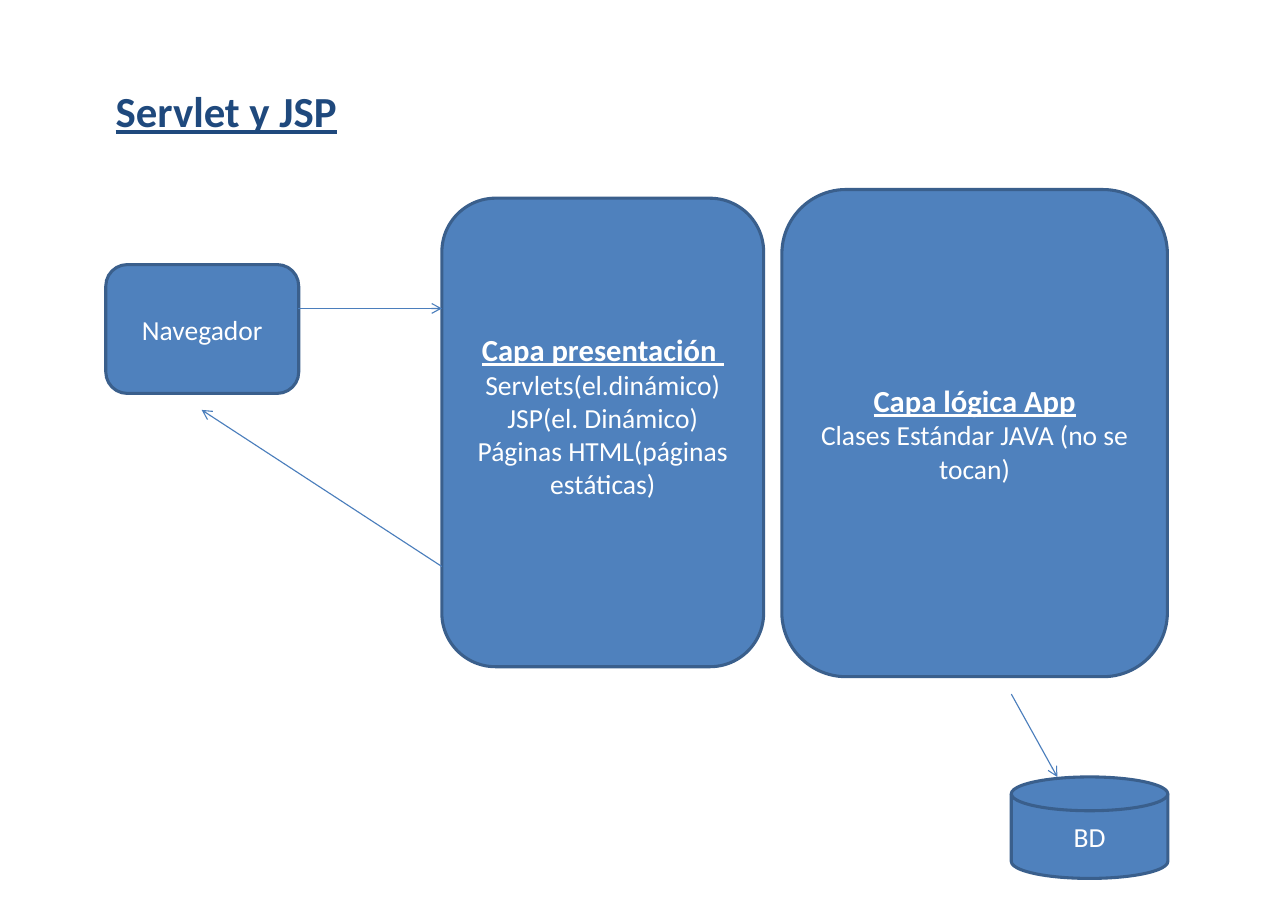
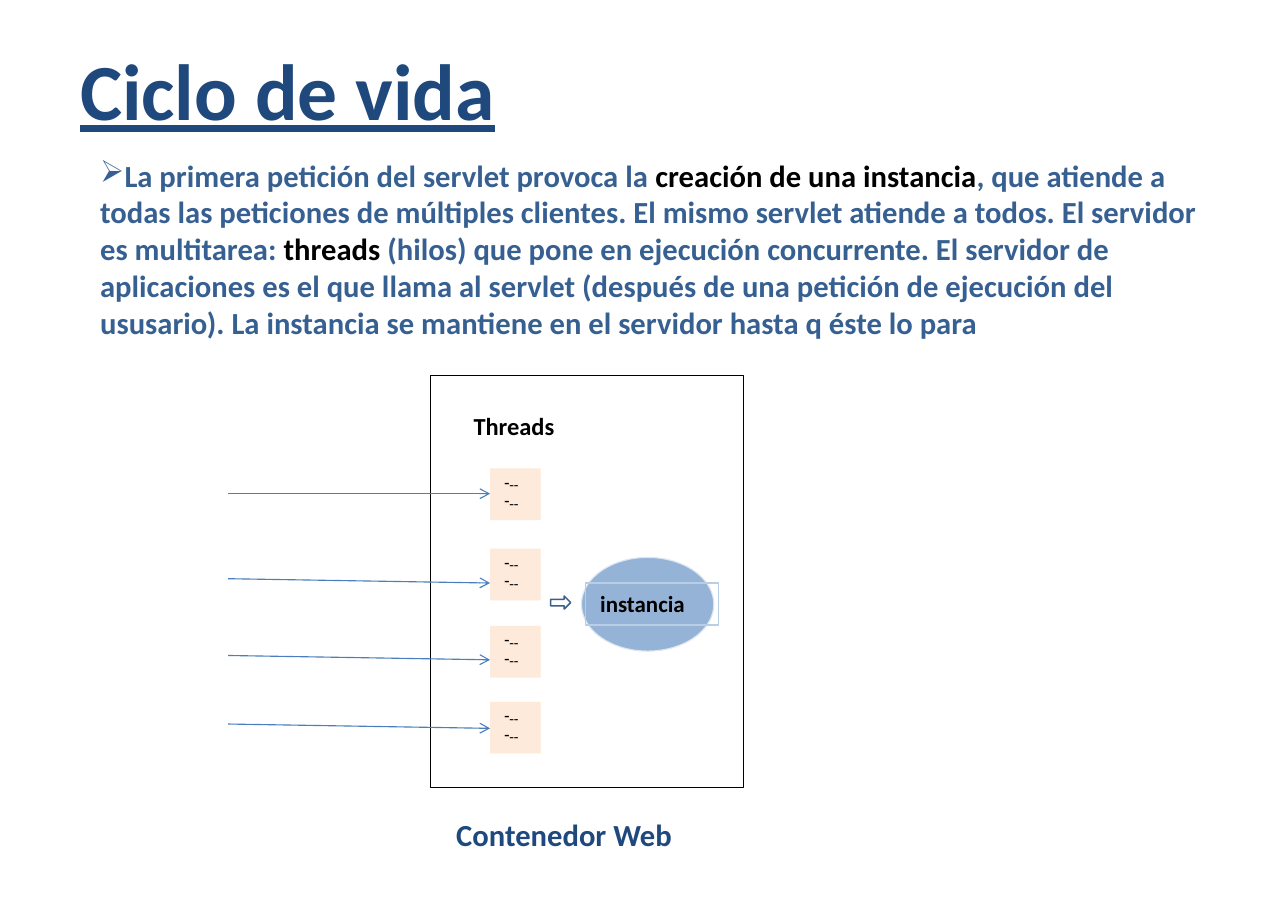
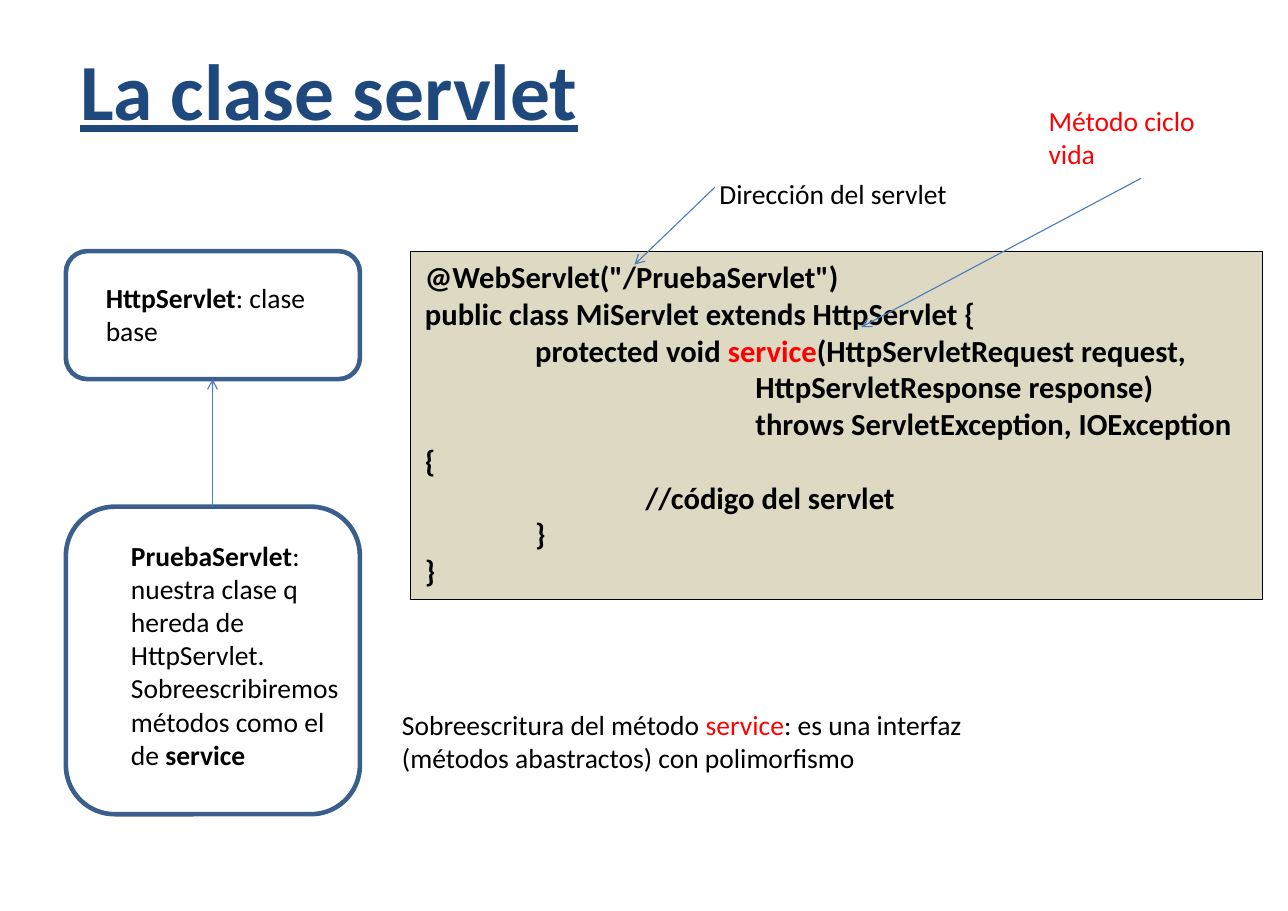
from lxml import etree
from pptx import Presentation
from pptx import util as u
from pptx.dml.color import RGBColor
from pptx.enum import shapes, text
from pptx.oxml.ns import qn

rgb = RGBColor.from_string
FONT = "Calibri"
NAVY, STEEL, BLUE, EDGE, ARROW = "1F497D", "376092", "4F81BD", "3A5F8C", "4B7EBC"
BLACK, WHITE, RED = "000000", "FFFFFF", "FF0000"
KIND = shapes.MSO_SHAPE


def box(slide, at, kind=None, fill=None, line=None, weight=0.75, paragraphs=(),
        size=18, color=BLACK, bold=False, centered=False, bullet=None):
    """Add a shape, or a text box if kind is None; a run is (text, font changes)."""
    place = [u.Cm(length) for length in at]
    if kind is None:
        item = slide.shapes.add_textbox(*place)
    else:
        item = slide.shapes.add_shape(kind, *place)
        item.shadow.inherit = False
        if fill:
            item.fill.solid()
            item.fill.fore_color.rgb = rgb(fill)
        else:
            item.fill.background()
        if line:
            item.line.color.rgb = rgb(line)
            item.line.width = u.Pt(weight)
        else:
            item.line.fill.background()

    frame = item.text_frame
    frame.word_wrap = True
    frame.margin_left = frame.margin_right = u.Cm(0.33)
    frame.margin_top = frame.margin_bottom = u.Cm(0.16)
    frame.vertical_anchor = text.MSO_ANCHOR.MIDDLE if centered else text.MSO_ANCHOR.TOP
    for number, runs in enumerate(paragraphs):
        paragraph = frame.add_paragraph() if number else frame.paragraphs[0]
        paragraph.alignment = text.PP_ALIGN.CENTER if centered else text.PP_ALIGN.LEFT
        font = paragraph.font
        font.name, font.size, font.bold = FONT, u.Pt(size), bold
        font.color.rgb = rgb(color)
        if bullet:
            mark = etree.Element(qn("a:buChar"), char=bullet)
            paragraph._p.pPr.find(qn("a:defRPr")).addprevious(mark)
        for words, changes in runs:
            run = paragraph.add_run()
            run.text = words
            for name, value in changes.items():
                if name == "color":
                    run.font.color.rgb = rgb(value)
                else:
                    setattr(run.font, name, value)
    return item


def arrow(slide, *ends):
    """Draw a thin arrow from the first point to the second (x, y, x, y in cm)."""
    link = slide.shapes.add_connector(
        shapes.MSO_CONNECTOR.STRAIGHT, *[u.Cm(end) for end in ends])
    link.line.color.rgb = rgb(ARROW)
    link.line.width = u.Pt(0.75)
    etree.SubElement(link.line._get_or_add_ln(), qn("a:tailEnd"), type="arrow")
    etree.SubElement(link._element.spPr, qn("a:effectLst"))


deck = Presentation()
deck.slide_width, deck.slide_height = u.Cm(29.7), u.Cm(21)

# Titles
slides = []
for title, size, left, top in [("Servlet y JSP", 28, 2.34, 1.8),
                               ("Ciclo de vida", 52, 1.52, 0.79),
                               ("La clase servlet", 52, 1.52, 0.79)]:
    slide = deck.slides.add_slide(deck.slide_layouts[6])
    box(slide, (left, top, 24, size / 20), size=size, color=NAVY, bold=True,
        paragraphs=[[(title, {"underline": True})]])
    slides.append(slide)
layers, lifecycle, servlet = slides

# Servlet y JSP: application layers
heading = {"size": u.Pt(20), "bold": True, "underline": True}
blocks = {}
for name, kind, at, lines in [
    ("Navegador", KIND.ROUNDED_RECTANGLE, (2.44, 6.1, 4.45, 2.97), []),
    ("Capa presentación ", KIND.ROUNDED_RECTANGLE, (10.19, 4.57, 7.42, 10.8),
     ["Servlets(el.dinámico)", "JSP(el. Dinámico)", "Páginas HTML(páginas estáticas)"]),
    ("Capa lógica App", KIND.ROUNDED_RECTANGLE, (18.03, 4.37, 8.89, 11.23),
     ["Clases Estándar JAVA (no se tocan)"]),
    ("BD", KIND.FLOWCHART_MAGNETIC_DISK, (23.32, 17.91, 3.61, 2.34), []),
]:
    blocks[name] = box(
        layers, at, kind, BLUE, EDGE, 2, color=WHITE, centered=True,
        paragraphs=[[(name, heading if lines else {})]] + [[(line, {})] for line in lines])
blocks["Capa presentación "].text_frame.margin_bottom = u.Cm(0.94)

arrow(layers, 23.32, 16, 24.38, 17.91)
arrow(layers, 10.19, 13.06, 4.65, 9.45)
arrow(layers, 6.88, 7.11, 10.19, 7.11)

# Ciclo de vida: threads inside the web container
black = {"color": BLACK}
box(lifecycle, (1.98, 3.45, 25.96, 5), size=20, color=STEEL, bold=True, bullet="➢",
    paragraphs=[[
        ("La primera petición del servlet provoca la ", {}),
        ("creación de una instancia", black),
        (", que atiende a todas las peticiones de múltiples clientes. El mismo servlet "
         "atiende a todos. El servidor es multitarea: ", {}),
        ("threads ", black),
        ("(hilos) que pone en ejecución concurrente. El servidor de aplicaciones es el "
         "que llama al servlet (después de una petición de ejecución del ususario). "
         "La instancia se mantiene en el servidor hasta q éste lo para", {}),
    ]])
box(lifecycle, (9.93, 8.66, 7.21, 9.5), KIND.RECTANGLE, line=BLACK)
box(lifecycle, (10.19, 18.64, 6.68, 1.19), size=20, color=NAVY, bold=True,
    paragraphs=[[("Contenedor Web", {})]])
box(lifecycle, (10.59, 9.32, 2.8, 1.02), size=16, bold=True,
    paragraphs=[[("Threads", {})]])
box(lifecycle, (13.41, 12.85, 3.05, 2.16), KIND.OVAL, "95B3D7", "DCE6F2")
box(lifecycle, (13.51, 13.44, 3.05, 0.97), KIND.RECTANGLE, line="B9CDE5",
    size=15, bold=True, paragraphs=[[("instancia", {})]])
box(lifecycle, (12.7, 13.74, 0.46, 0.3), KIND.RIGHT_ARROW, line=EDGE, weight=1)
for thread_top, request_y, arrival_y in [(10.8, 11.38, 11.38), (12.65, 13.34, 13.44),
                                         (14.43, 15.11, 15.21), (16.18, 16.69, 16.79)]:
    box(lifecycle, (11.3, thread_top, 1.17, 1.19), KIND.RECTANGLE, "FDEADA",
        size=10, bullet="-", paragraphs=[[("--", {})]] * 2)
    arrow(lifecycle, 5.26, request_y, 11.3, arrival_y)

# La clase servlet: inheritance and code
strong, red = {"bold": True}, {"color": RED}
for frame_at, label_at, runs in [
    ((1.52, 11.68, 6.78, 7.09), (2.69, 12.27, 5.61, 5.72),
     [("PruebaServlet", strong),
      (": nuestra clase q hereda de HttpServlet. Sobreescribiremos métodos como el de ", {}),
      ("service", strong)]),
    ((1.52, 5.79, 6.78, 2.95), (2.11, 6.32, 5.61, 1.85),
     [("HttpServlet", strong), (": clase base", {})]),
]:
    box(servlet, frame_at, KIND.ROUNDED_RECTANGLE, line=EDGE, weight=3)
    box(servlet, label_at, paragraphs=[runs])

code = [
    (0, [('@WebServlet("/PruebaServlet")', {})]),
    (0, [("public class MiServlet extends HttpServlet {", {})]),
    (1, [("protected void ", {}), ("service", red), ("(HttpServletRequest request,", {})]),
    (3, [("HttpServletResponse response)", {})]),
    (3, [("throws ServletException, IOException {", {})]),
    (2, [("//código del servlet", {})]),
    (1, [("}", {})]),
    (0, [("}", {})]),
]
listing = box(servlet, (9.47, 5.79, 19.65, 8.03), KIND.RECTANGLE, "DDD9C3", BLACK, 0.5,
              size=20, bold=True, paragraphs=[runs for _, runs in code])
for paragraph, (depth, _) in zip(listing.text_frame.paragraphs, code):
    paragraph._p.pPr.set("indent", str(u.Cm(2.54 * depth)))

for at, runs in [
    ((16.26, 3.91, 7.24, 1.09), [("Dirección del servlet", {})]),
    ((23.85, 2.24, 4.9, 1.85), [("Método ciclo vida", red)]),
    ((8.94, 16.15, 14.17, 1.85),
     [("Sobreescritura del método ", {}), ("service", red),
      (": es una interfaz (métodos abastractos) con polimorfismo", {})]),
]:
    box(servlet, at, paragraphs=[runs])
arrow(servlet, 4.9, 11.68, 4.9, 8.74)
arrow(servlet, 16.48, 4.32, 14.63, 6.1)
arrow(servlet, 26.31, 4.11, 19.86, 7.54)

deck.save("out.pptx")
